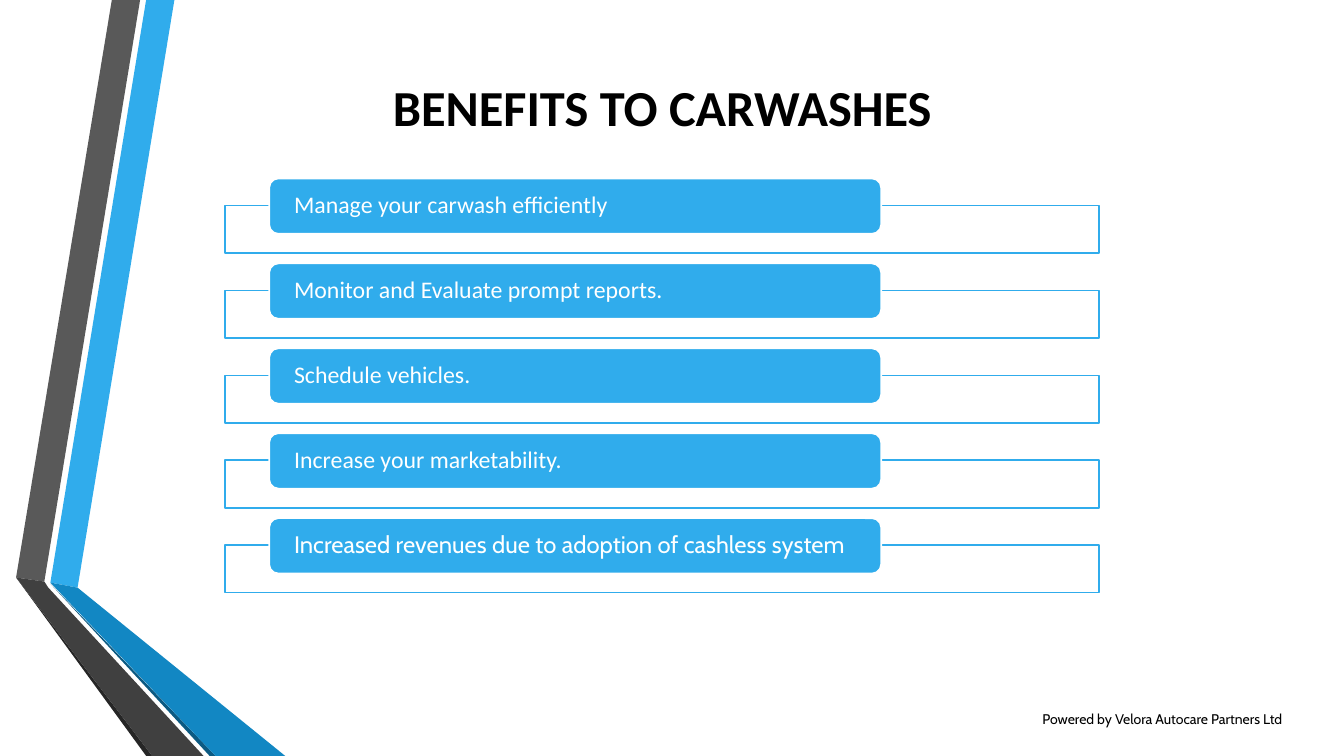
from dataclasses import dataclass

from lxml.etree import SubElement
from pptx import Presentation
from pptx.dml.color import RGBColor
from pptx.enum.shapes import MSO_SHAPE as Preset
from pptx.enum.text import MSO_ANCHOR as Anchor, PP_ALIGN as Align
from pptx.oxml.ns import qn
from pptx.shapes.autoshape import Shape
from pptx.shapes.shapetree import SlideShapes
from pptx.util import Inches, Pt

COLORS = {
    "blue": "30ACEC", "mid_blue": "1287C3", "deep_blue": "0C5A82",
    "grey": "595959", "dark_grey": "404040", "charcoal": "262626",
    "white": "FFFFFF", "black": "000000",
}


@dataclass(frozen=True)
class Ribbon:
    color: str
    corners: tuple[tuple[float, float], ...]


@dataclass(frozen=True)
class Benefit:
    wording: str
    font: str = "Calibri"


@dataclass(frozen=True)
class Box:
    left: float
    top: float
    width: float
    height: float

    def lengths(self) -> tuple[int, ...]:
        return tuple(Inches(v) for v in (self.left, self.top, self.width, self.height))


RIBBONS = (
    Ribbon("blue", ((0.5, 5.78), (0.77, 5.83), (1.73, 0), (1.45, 0))),
    Ribbon("grey", ((1.39, 0), (1.11, 0), (0.16, 5.73), (0.44, 5.77))),
    Ribbon("charcoal", ((0.16, 5.73), (1.45, 7.5), (1.51, 7.5))),
    Ribbon("deep_blue", ((0.5, 5.79), (2.08, 7.5), (2.14, 7.5))),
    Ribbon("mid_blue", ((0.5, 5.78), (2.14, 7.5), (2.83, 7.5), (0.77, 5.83))),
    Ribbon("dark_grey", ((2.02, 7.5), (0.48, 5.83), (0.44, 5.77), (0.16, 5.73), (1.51, 7.5))),
)
BENEFITS = (
    Benefit("Manage your carwash efficiently"),
    Benefit("Monitor and Evaluate prompt reports."),
    Benefit("Schedule vehicles."),
    Benefit("Increase your marketability."),
    Benefit("Increased revenues due to adoption of cashless system", "Cabin"),
)
FIRST_LABEL_TOP, LAST_LABEL_TOP = 1.77, 5.14
BENEFIT_PITCH = (LAST_LABEL_TOP - FIRST_LABEL_TOP) / (len(BENEFITS) - 1)
FRAME_DROP = 0.27


def rgb(color: str) -> RGBColor:
    return RGBColor.from_string(COLORS[color])


def paint(shape: Shape, fill: str, line: str | None = None) -> None:
    shape.shadow.inherit = False
    shape.fill.solid()
    shape.fill.fore_color.rgb = rgb(fill)
    if line is None:
        shape.line.fill.background()
    else:
        shape.line.color.rgb = rgb(line)
        shape.line.width = Pt(1.25)


def write(shape: Shape, wording: str, font: str, size: float, color: str,
          align: Align = Align.LEFT, bold: bool = False,
          side_inset: float = 0.1, line_spacing: float = 1.0) -> None:
    """Put one vertically centred paragraph into the shape."""
    frame = shape.text_frame
    frame_format = {
        "word_wrap": True, "vertical_anchor": Anchor.MIDDLE,
        "margin_left": Inches(side_inset), "margin_right": Inches(side_inset),
        "margin_top": 0, "margin_bottom": 0,
    }
    paragraph = frame.paragraphs[0]
    run = paragraph.add_run()
    run.text = wording
    formats = (
        (frame, frame_format),
        (paragraph, {"alignment": align, "line_spacing": line_spacing}),
        (run.font, {"name": font, "size": Pt(size), "bold": bold}),
    )
    for target, values in formats:
        for attribute, value in values.items():
            setattr(target, attribute, value)
    run.font.color.rgb = rgb(color)


def draw_ribbon(shapes: SlideShapes, ribbon: Ribbon) -> None:
    start, *others = [(Inches(x), Inches(y)) for x, y in ribbon.corners]
    outline = shapes.build_freeform(*start)
    outline.add_line_segments(others, close=True)
    paint(outline.convert_to_shape(), ribbon.color)


def draw_benefit(shapes: SlideShapes, benefit: Benefit, top: float) -> None:
    """Draw a wide frame with the benefit's label overlapping its top edge."""
    frame = shapes.add_shape(Preset.RECTANGLE, *Box(2.23, top + FRAME_DROP, 8.67, 0.47).lengths())
    paint(frame, "white", "blue")
    fill_color = frame.fill._xPr.find(qn("a:solidFill"))[0]
    SubElement(fill_color, qn("a:alpha"), val="90000")

    label = shapes.add_shape(Preset.ROUNDED_RECTANGLE, *Box(2.67, top, 6.07, 0.55).lengths())
    paint(label, "blue", "white")
    write(label, benefit.wording, benefit.font, 17, "white", side_inset=0.22, line_spacing=0.9)


def main() -> None:
    deck = Presentation()
    deck.slide_width, deck.slide_height = Inches(13.33), Inches(7.5)
    shapes = deck.slides.add_slide(deck.slide_layouts[6]).shapes

    for ribbon in RIBBONS:
        draw_ribbon(shapes, ribbon)

    title = shapes.add_textbox(*Box(1.32, 0.7, 10.5, 0.71).lengths())
    write(title, "BENEFITS TO CARWASHES", "Calibri", 36, "black", Align.CENTER, bold=True)

    for row, benefit in enumerate(BENEFITS):
        draw_benefit(shapes, benefit, FIRST_LABEL_TOP + row * BENEFIT_PITCH)

    credit = shapes.add_textbox(*Box(10.24, 6.93, 3.1, 0.4).lengths())
    write(credit, "Powered by Velora Autocare Partners Ltd", "Cabin", 10, "black")

    deck.save("out.pptx")


if __name__ == "__main__":
    main()
